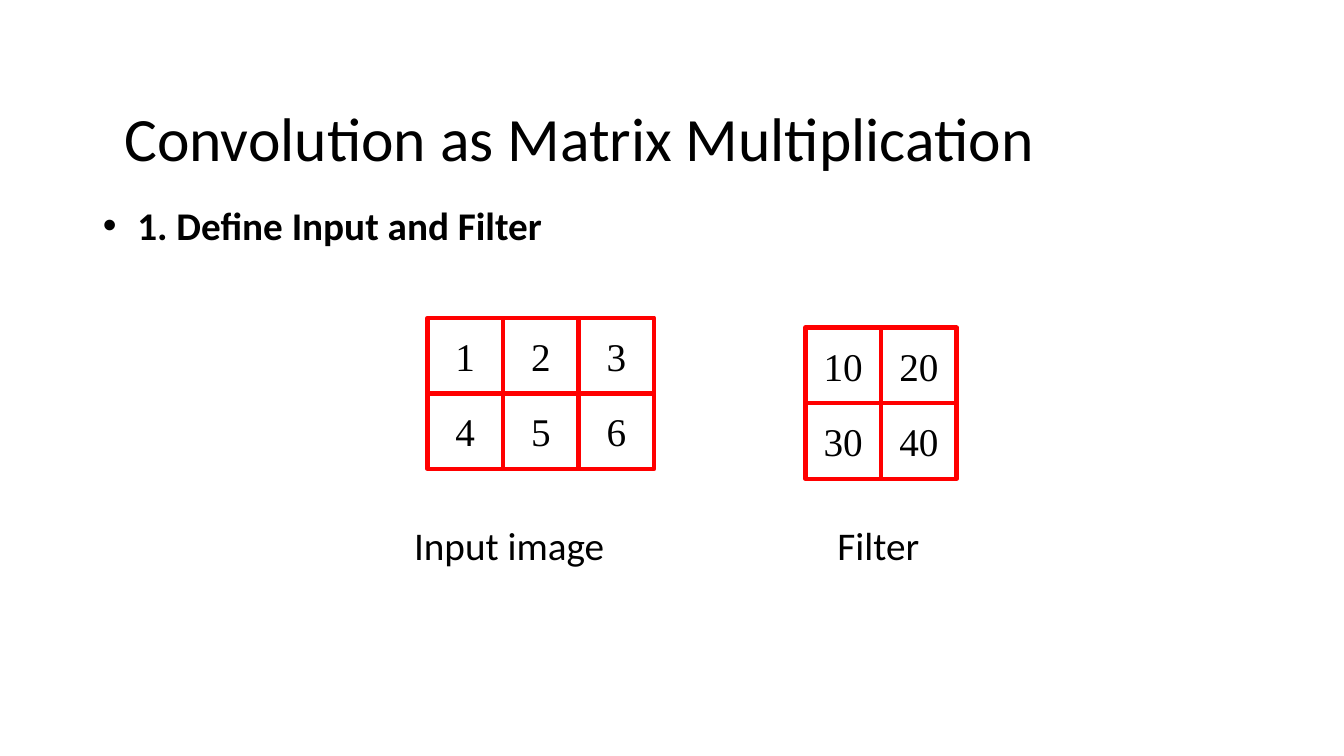
import pptx
import pptx.dml.color
import pptx.enum.shapes
import pptx.enum.text
import pptx.util
from lxml import etree

Pt = pptx.util.Pt
ANCHOR = pptx.enum.text.MSO_ANCHOR
ALIGN = pptx.enum.text.PP_ALIGN
COLORS = {"text": "000000", "cell": "FFFFFF", "grid": "FF0000"}
CELL = 54
INPUT_IMAGE = [[1, 2, 3], [4, 5, 6]]
FILTER = [[10, 20], [30, 40]]


def color(name):
    return pptx.dml.color.RGBColor.from_string(COLORS[name])


def style(paragraph, size, font="Calibri", bold=False, align=ALIGN.LEFT):
    paragraph.font.size = Pt(size)
    paragraph.font.name = font
    paragraph.font.bold = bold
    paragraph.font.color.rgb = color("text")
    paragraph.alignment = align


def add_title(slide, left, top, width, height, text):
    title = slide.shapes.title
    title.left, title.top, title.width, title.height = map(Pt, (left, top, width, height))
    frame = title.text_frame
    frame.text = text
    frame.auto_size = pptx.enum.text.MSO_AUTO_SIZE.NONE
    frame.vertical_anchor = ANCHOR.MIDDLE
    paragraph = frame.paragraphs[0]
    paragraph.line_spacing = 0.9
    style(paragraph, 44)


def add_text(slide, left, top, width, height, text, bold=False, wrap=False):
    box = slide.shapes.add_textbox(*map(Pt, (left, top, width, height)))
    frame = box.text_frame
    frame.word_wrap = wrap
    frame.text = text
    style(frame.paragraphs[0], 28, bold=bold)
    return frame.paragraphs[0]


def add_step(slide, left, top, width, height, text):
    paragraph = add_text(slide, left, top, width, height, text, bold=True, wrap=True)
    paragraph.line_spacing = 0.9
    paragraph.space_before = Pt(10)
    # Bullet with a hanging indent
    indent = Pt(24.5)
    properties = paragraph._p.get_or_add_pPr()
    properties.set("marL", str(indent))
    properties.set("indent", str(-indent))
    namespace = "{http://schemas.openxmlformats.org/drawingml/2006/main}"
    bullet_font = etree.Element(namespace + "buFont", typeface="Arial")
    bullet = etree.Element(namespace + "buChar", char="•")
    position = properties.index(properties.find(namespace + "defRPr"))
    properties.insert(position, bullet_font)
    properties.insert(position + 1, bullet)


def add_matrix(slide, left, top, values):
    group = slide.shapes.add_group_shape()
    for row, numbers in enumerate(values):
        for column, number in enumerate(numbers):
            cell = group.shapes.add_shape(
                pptx.enum.shapes.MSO_SHAPE.RECTANGLE,
                Pt(left + column * CELL), Pt(top + row * CELL), Pt(CELL), Pt(CELL))
            cell.shadow.inherit = False
            cell.fill.solid()
            cell.fill.fore_color.rgb = color("cell")
            cell.line.color.rgb = color("grid")
            cell.line.width = Pt(3)
            frame = cell.text_frame
            frame.word_wrap = False
            frame.vertical_anchor = ANCHOR.MIDDLE
            frame.text = str(number)
            style(frame.paragraphs[0], 28, "Times New Roman", align=ALIGN.CENTER)


def build_slide(presentation):
    slide = presentation.slides.add_slide(presentation.slide_layouts[5])
    # Heading and step
    add_title(slide, 81.5, 65, 718.5, 72.5, "Convolution as Matrix Multiplication")
    add_step(slide, 66.5, 144, 828, 342.5, "1. Define Input and Filter")
    # Matrices and their labels
    add_matrix(slide, 305.3, 227, INPUT_IMAGE)
    add_text(slide, 288.7, 368.6, 152, 41, "Input image")
    add_matrix(slide, 575.3, 234, FILTER)
    add_text(slide, 591.1, 368.6, 75.6, 41, "Filter")


def main():
    presentation = pptx.Presentation()
    presentation.slide_width = Pt(960)
    presentation.slide_height = Pt(540)
    build_slide(presentation)
    presentation.save("out.pptx")


if __name__ == "__main__":
    main()
